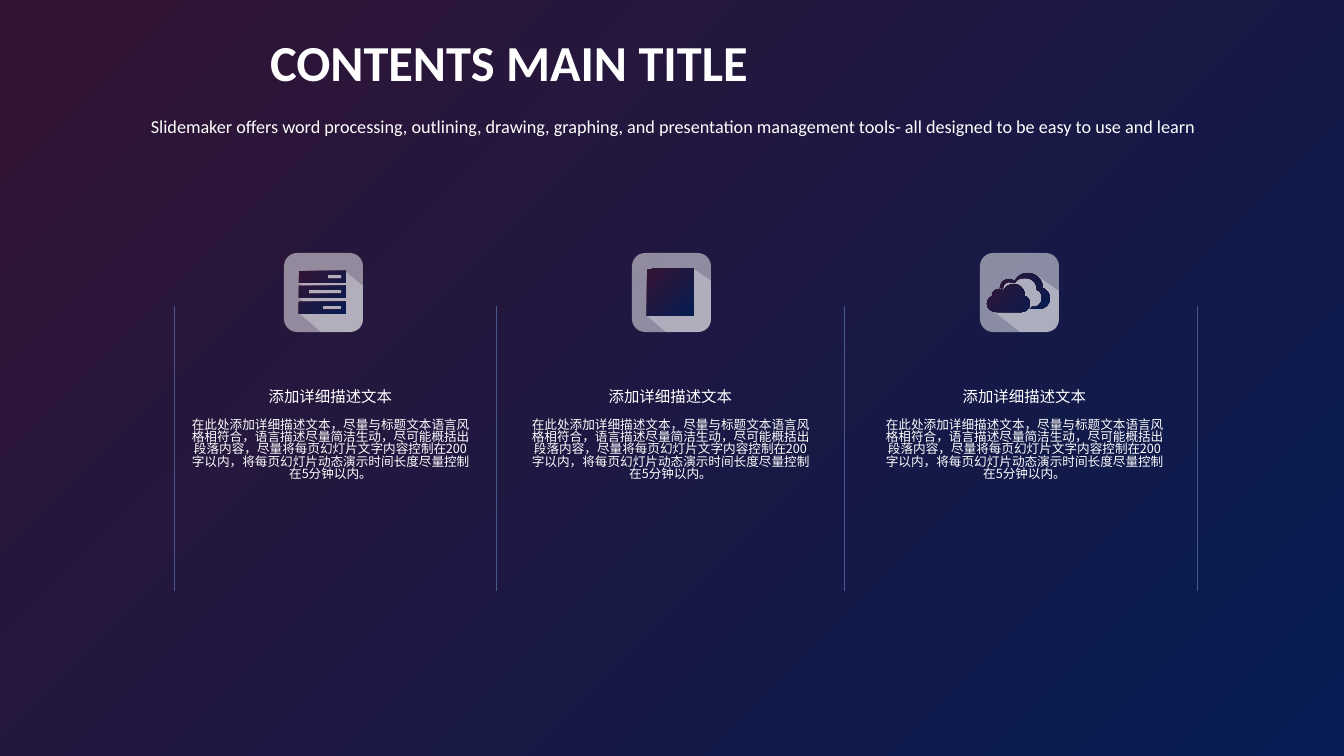
from dataclasses import dataclass

from lxml import etree
from pptx import Presentation
from pptx import util as u
from pptx.dml.color import RGBColor
from pptx.enum import shapes, text
from pptx.oxml.ns import qn

PX = 12192000 / 1344


@dataclass(frozen=True)
class Theme:
    """Colours, fonts and type sizes of the slide."""
    white: str = "FFFFFF"
    soft: str = "FEFEFE"
    plum: str = "331433"
    navy: str = "061C52"
    rule: str = "46598A"
    latin: str = "Calibri"
    han: str = "Noto Sans CJK SC"
    title: int = 36
    lead: int = 13
    head: int = 11
    body: int = 9


T = Theme()
TILE = 79
HEAD = "添加详细描述文本"
BODY = ("在此处添加详细描述文本，尽量与标题文本语言风格相符合，语言描述尽量简洁生动，"
        "尽可能概括出段落内容，尽量将每页幻灯片文字内容控制在200字以内，"
        "将每页幻灯片动态演示时间长度尽量控制在5分钟以内。")
LEAD = ("Slidemaker offers word processing, outlining, drawing, graphing, and presentation "
        "management tools- all designed to be easy to use and learn")

CORNER = [(79, 66), (79, 74, 74, 79, 66, 79)]
BARS_SHADE = [(62, 19), (79, 33), *CORNER, (37, 79), (15, 60), (23, 55), (25, 52),
              (15, 45), (24, 44), (16, 35), (23, 36), (15, 30), (28, 24)]
BLOCK_SHADE = [(62, 16), (79, 28), *CORNER, (34, 79), (15, 63), (15, 16)]
CLOUD_SHADE = [(22, 36), (23, 31), (29, 27), (34, 29), (41, 24), (49, 23), (56, 22),
               (79, 38), *CORNER, (40, 79), (13, 58), (24, 52), (18, 54), (29, 41)]
FRONT = [(34, 31), (40, 31, 45, 36, 45, 43), (48, 44, 50, 47, 50, 51),
         (50, 55, 46, 59, 42, 59), (16, 59), (11, 59, 7, 55, 7, 51),
         (7, 47, 9, 44, 13, 43), (12, 42), (12, 39, 15, 36, 19, 36),
         (21, 36, 22, 36, 23, 38), (25, 34, 29, 31, 34, 31)]
BACK = [(48, 20), (56, 20, 63, 27, 63, 35), (67, 37, 70, 41, 70, 45),
        (70, 51, 65, 56, 59, 56), (50, 56), (52, 54), (54, 54),
        (58, 54, 62, 50, 62, 45), (62, 41, 60, 38, 57, 37),
        (57, 30, 52, 25, 45, 25), (41, 25, 37, 26, 35, 30),
        (34, 29), (32, 30), (30, 29), (26, 29, 23, 32, 23, 36),
        (22, 35, 21, 35, 20, 35), (20, 30, 24, 26, 29, 26),
        (31, 26, 33, 27, 35, 28), (37, 23, 42, 20, 48, 20)]


def px(*nums):
    """Turn pixel lengths into EMU."""
    return [u.Emu(round(n * PX)) for n in nums]


def rgb(code):
    """Read a colour code."""
    return RGBColor.from_string(code)


def blend(fill):
    """Fill with the diagonal plum to navy gradient."""
    fill.gradient()
    fill.gradient_angle = 315
    for stop, code in zip(fill.gradient_stops, (T.plum, T.navy)):
        stop.color.rgb = rgb(code)


def paint(shape, alpha=None):
    """Give a shape translucent white, or the gradient when alpha is None."""
    shape.shadow.inherit = False
    shape.line.fill.background()
    if alpha is None:
        blend(shape.fill)
        return
    shape.fill.solid()
    shape.fill.fore_color.rgb = rgb(T.white)
    tint = shape._element.spPr.find(".//" + qn("a:srgbClr"))
    etree.SubElement(tint, qn("a:alpha")).set("val", str(alpha * 1000))


def rect(x, y, w, h):
    """List the corners of a rectangle."""
    return [(x, y), (x + w, y), (x + w, y + h), (x, y + h)]


def trace(steps):
    """Turn points and cubic curves into a list of points."""
    pts = [steps[0]]
    for step in steps[1:]:
        if len(step) == 2:
            pts.append(step)
            continue
        ax, ay = pts[-1]
        bx, by, cx, cy, dx, dy = step
        for t in (n / 8 for n in range(1, 9)):
            s = 1 - t
            k = s ** 3, 3 * s * s * t, 3 * s * t * t, t ** 3
            pts.append((k[0] * ax + k[1] * bx + k[2] * cx + k[3] * dx,
                        k[0] * ay + k[1] * by + k[2] * cy + k[3] * dy))
    return pts


def draw(slide, x, y, loops, alpha=None):
    """Draw closed outlines as one freeform, measured from x, y."""
    build = None
    for loop in loops:
        pts = [px(x + a, y + b) for a, b in trace(loop)]
        if build is None:
            build = slide.shapes.build_freeform(*pts[0])
        else:
            build.move_to(*pts[0])
        build.add_line_segments(pts[1:], close=True)
    paint(build.convert_to_shape(), alpha)


def bars():
    """Outline three bars, each with a slot."""
    loops = []
    for row, left in enumerate((44, 25, 39)):
        top = 18 + row * 31 // 2
        loops += [rect(15, top, 47, 12), rect(left, top + 4, 58 - left, 4)]
    return loops


def icon(slide, x, y, shade, glyph):
    """Draw a rounded tile with its long shade and glyph."""
    tile = slide.shapes.add_shape(shapes.MSO_SHAPE.ROUNDED_RECTANGLE, *px(x, y, TILE, TILE))
    paint(tile, 50)
    draw(slide, x, y, [shade], 30)
    draw(slide, x, y, glyph)


def write(para, words, size, color=T.white, face=T.latin, bold=False,
          align=text.PP_ALIGN.CENTER, before=0, pitch=1.0):
    """Write one formatted run in a paragraph."""
    para.alignment = align
    para.space_before = u.Pt(before)
    para.line_spacing = pitch
    run = para.add_run()
    run.text = words
    font = run.font
    font.size, font.bold, font.name = u.Pt(size), bold, face
    font.color.rgb = rgb(color)
    etree.SubElement(run._r.get_or_add_rPr(), qn("a:ea")).set("typeface", face)


def frame(shape, box, side, edge):
    """Place a text shape and set its insets."""
    shape.left, shape.top, shape.width, shape.height = px(*box)
    area = shape.text_frame
    area.word_wrap = True
    area.auto_size = text.MSO_AUTO_SIZE.NONE
    area.vertical_anchor = text.MSO_ANCHOR.TOP
    area.margin_left, area.margin_right, area.margin_top, area.margin_bottom = px(
        side, side, edge, edge)
    return area


def note(slide, x):
    """Add a column heading with its description."""
    box = (x, 386, 297, 174)
    area = frame(slide.shapes.add_textbox(*px(*box)), box, 7, 4)
    write(area.paragraphs[0], HEAD, T.head, face=T.han, pitch=0.82)
    write(area.add_paragraph(), BODY, T.body, color=T.soft, face=T.han, before=10, pitch=0.82)


def rule(slide, x):
    """Draw a thin upright divider."""
    line = slide.shapes.add_connector(shapes.MSO_CONNECTOR.STRAIGHT, *px(x, 306, x, 591))
    line.line.color.rgb = rgb(T.rule)
    line.line.width = u.Pt(0.75)
    etree.SubElement(line._element.spPr, qn("a:effectLst"))


def main():
    """Build the slide and save it."""
    deck = Presentation()
    deck.slide_width, deck.slide_height = px(1344, 756)
    slide = deck.slides.add_slide(deck.slide_layouts[0])
    blend(slide.background.fill)

    title = frame(slide.shapes.title, (260, 26, 824, 72), 10, 5)
    write(title.paragraphs[0], "CONTENTS MAIN TITLE", T.title, bold=True,
          align=text.PP_ALIGN.JUSTIFY)
    lead = frame(slide.placeholders[1], (69, 110, 1207, 32), 10, 5)
    write(lead.paragraphs[0], LEAD, T.lead)

    for x in (175, 497, 845, 1198):
        rule(slide, x)
    icons = ((BARS_SHADE, bars()), (BLOCK_SHADE, [rect(15, 16, 47, 47)]),
             (CLOUD_SHADE, [FRONT, BACK]))
    for col, (left, (shade, glyph)) in enumerate(zip((182, 522, 876), icons)):
        icon(slide, 284 + 348 * col, 253, shade, glyph)
        note(slide, left)
    deck.save("out.pptx")


if __name__ == "__main__":
    main()
